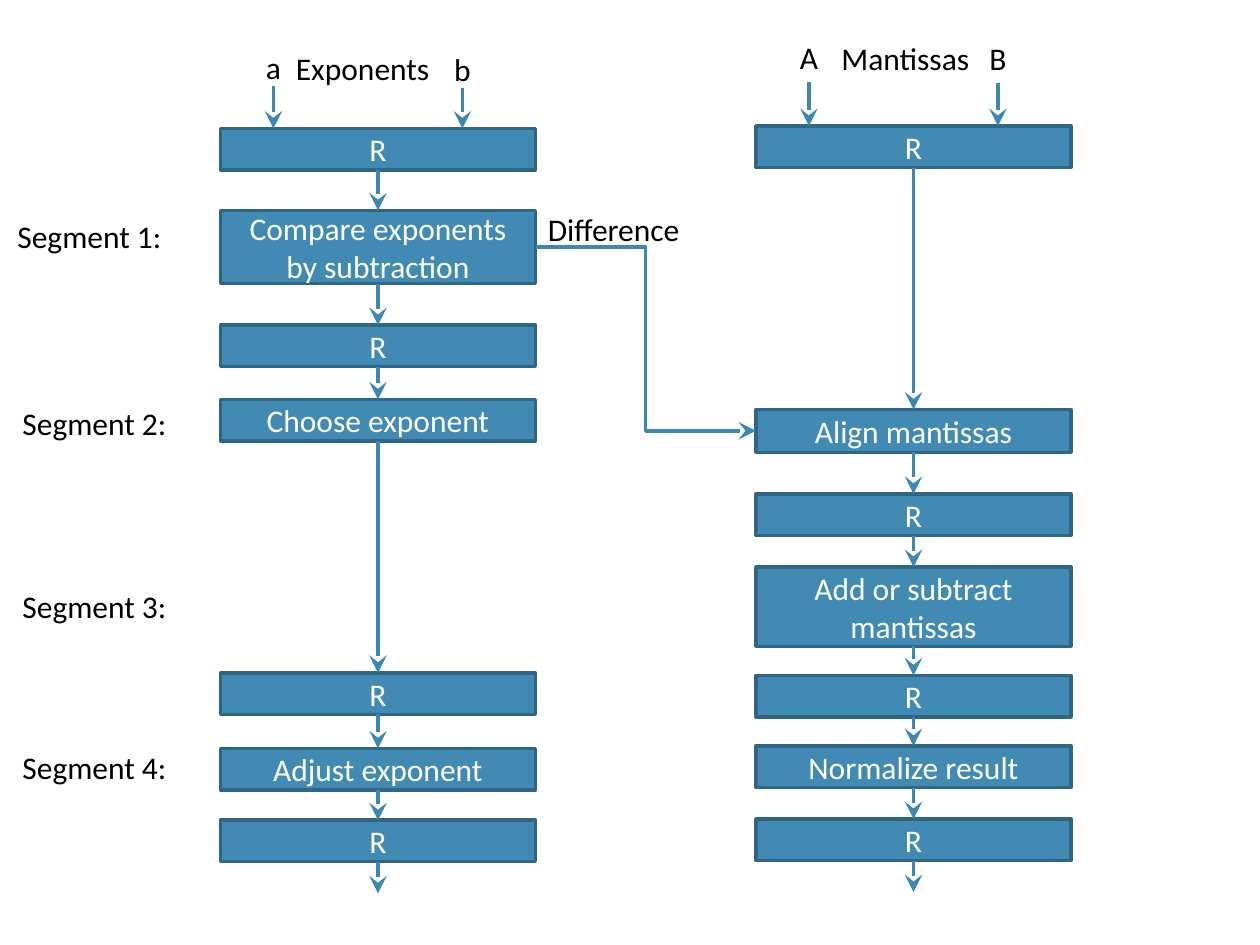
from pptx import Presentation
from pptx.dml.color import RGBColor
from pptx.enum.shapes import MSO_CONNECTOR as Conn, MSO_SHAPE as Shape
from pptx.enum.text import MSO_ANCHOR as Anchor, MSO_AUTO_SIZE as AutoSize, PP_ALIGN as Align
from pptx.oxml.ns import qn
from pptx.util import Inches, Pt
from lxml.etree import SubElement

COLORS = {"fill": "418AB3", "border": "306684", "arrow": "3D88B2",
          "text": "000000", "box_text": "FFFFFF"}
BOX_W, BOX_H = 2.5, 0.33
TOP, LEFT, BOTTOM, RIGHT = range(4)  # connection sites of a rectangle

# Each column's boxes: text, top, height
EXPONENT_BOXES = [
    ("R", 1.02, BOX_H),
    ("Compare exponents by subtraction", 1.67, 0.58),
    ("R", 2.58, BOX_H),
    ("Choose exponent", 3.17, BOX_H),
    ("R", 5.34, BOX_H),
    ("Adjust exponent", 5.94, BOX_H),
    ("R", 6.51, BOX_H),
]
MANTISSA_BOXES = [
    ("R", 1, BOX_H),
    ("Align mantissas", 3.25, 0.34),
    ("R", 3.92, BOX_H),
    ("Add or subtract mantissas", 4.5, 0.63),
    ("R", 5.36, BOX_H),
    ("Normalize result", 5.92, BOX_H),
    ("R", 6.5, BOX_H),
]
SEGMENTS = [("Segment 1:", 0.04, 1.67), ("Segment 2:", 0.08, 3.16),
            ("Segment 3:", 0.08, 4.61), ("Segment 4:", 0.08, 5.89)]


def rgb(name):
    return RGBColor.from_string(COLORS[name])


def write(tf, text, color, align):
    tf.word_wrap = True
    p = tf.paragraphs[0]
    p.text = text
    p.alignment = align
    font = p.runs[0].font
    font.name, font.size = "Calibri", Pt(18)
    font.color.rgb = rgb(color)


def add_label(s, text, x, y, w=1.5, align=Align.LEFT):
    tf = s.shapes.add_textbox(Inches(x), Inches(y), Inches(w), Inches(0.4)).text_frame
    write(tf, text, "text", align)
    tf.auto_size = AutoSize.SHAPE_TO_FIT_TEXT


def add_box(s, text, x, y, h):
    sp = s.shapes.add_shape(Shape.RECTANGLE, Inches(x), Inches(y), Inches(BOX_W), Inches(h))
    sp.shadow.inherit = False
    sp.fill.solid()
    sp.fill.fore_color.rgb = rgb("fill")
    sp.line.color.rgb = rgb("border")
    sp.line.width = Pt(2)
    sp.text_frame.vertical_anchor = Anchor.MIDDLE
    write(sp.text_frame, text, "box_text", Align.CENTER)
    return sp


def add_arrow(s, x1, y1, x2, y2, kind=Conn.STRAIGHT):
    cxn = s.shapes.add_connector(kind, Inches(x1), Inches(y1), Inches(x2), Inches(y2))
    cxn.line.color.rgb = rgb("arrow")
    cxn.line.width = Pt(2)
    SubElement(cxn.line._get_or_add_ln(), qn("a:tailEnd"), type="stealth", w="lg", len="lg")
    SubElement(cxn._element.spPr, qn("a:effectLst"))
    return cxn


def link(s, start, start_site, end, end_site, kind=Conn.STRAIGHT):
    """Glue an arrow to two boxes."""
    cxn = add_arrow(s, 0, 0, 1, 1, kind)
    cxn.begin_connect(start, start_site)
    cxn.end_connect(end, end_site)


def add_column(s, x, boxes):
    """Stack the boxes, link each to the next, and let the last one flow out."""
    shapes = [add_box(s, text, x, y, h) for text, y, h in boxes]
    for upper, lower in zip(shapes, shapes[1:]):
        link(s, upper, BOTTOM, lower, TOP)
    center, bottom = x + BOX_W / 2, boxes[-1][1] + boxes[-1][2]
    add_arrow(s, center, bottom, center, bottom + 0.25)
    return shapes


def add_inputs(s, x, top, heading, heading_dx, inputs):
    """Place the heading and two input arrows above a column's first box."""
    add_label(s, heading, x + heading_dx, inputs[0][1] + 0.01)
    for i, (name, y) in enumerate(inputs):
        center = x + 0.42 + 1.5 * i
        add_label(s, name, center - 0.25, y, 0.5, Align.CENTER)
        add_arrow(s, center, y + 0.35 + 0.05 * (top == 1) + 0, center, top)


def add_segments(s):
    for text, x, y in SEGMENTS:
        add_label(s, text, x, y)


def main():
    prs = Presentation()
    prs.slide_width, prs.slide_height = Inches(10), Inches(7.5)
    s = prs.slides.add_slide(prs.slide_layouts[6])

    exponents = add_column(s, 1.75, EXPONENT_BOXES)
    add_inputs(s, 1.75, 1.02, "Exponents", 0.5, [("a", 0.33), ("b", 0.35)])
    mantissas = add_column(s, 6, MANTISSA_BOXES)
    add_inputs(s, 6, 1, "Mantissas", 0.58, [("A", 0.25), ("B", 0.26)])

    link(s, exponents[1], RIGHT, mantissas[1], LEFT, Conn.ELBOW)
    add_label(s, "Difference", 4.25, 1.62)
    add_segments(s)
    prs.save("out.pptx")


if __name__ == "__main__":
    main()
